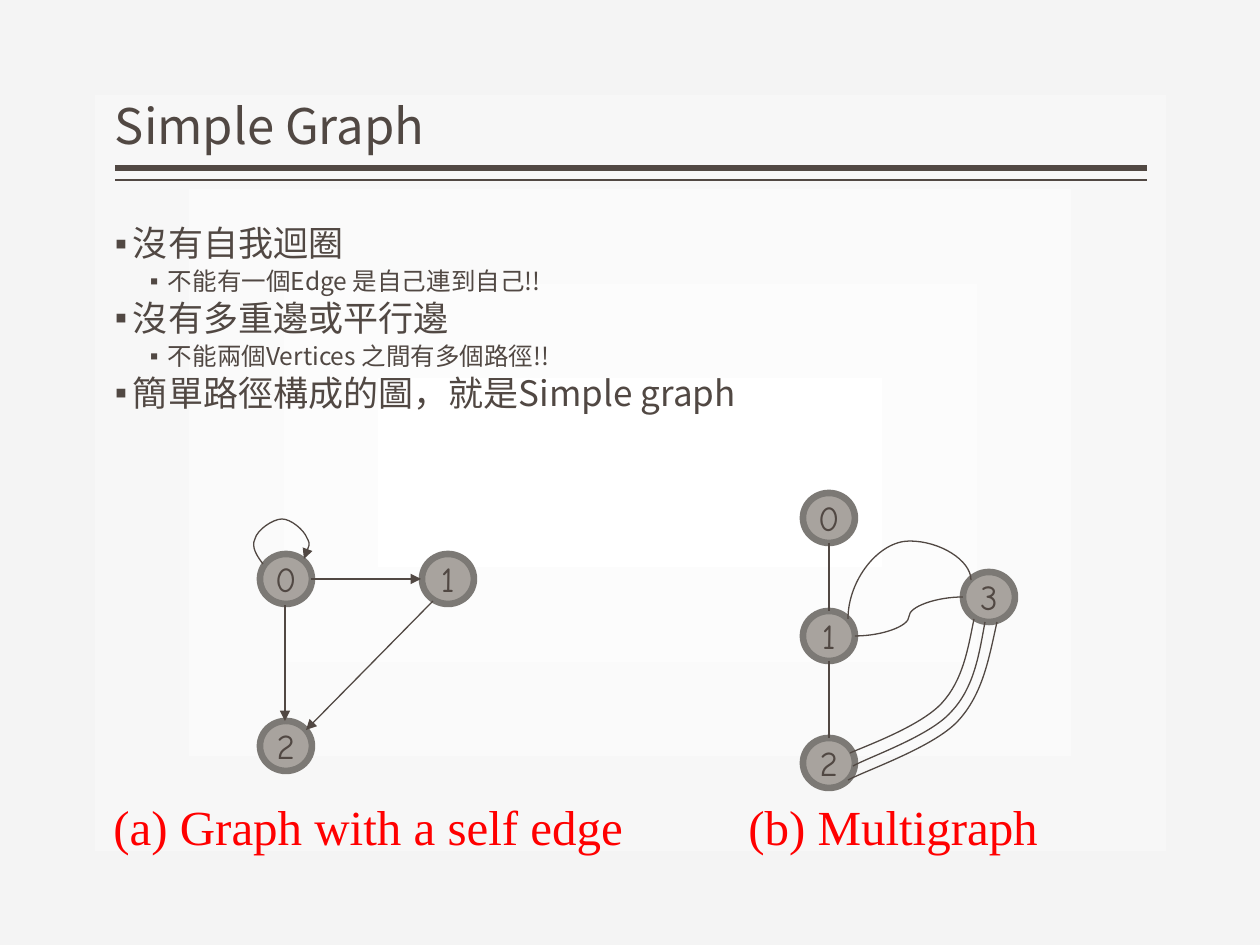
"""Build the Simple Graph slide with a self-edge graph and a multigraph."""
from typing import NamedTuple

from lxml import etree
from pptx import Presentation
from pptx import util as u
from pptx.dml.color import RGBColor
from pptx.enum import shapes, text
from pptx.oxml.ns import qn

SCALE = 914400 / 126
COLORS = {"ink": "514843", "node": "A8A39E", "ring": "7C7975",
          "caption": "FF0000", "center": "FFFFFF", "edge": "F4F4F4"}
SANS, HAND, SERIF = "Noto Sans CJK SC", "Comic Neue", "Times New Roman"
NODE_WIDTH, NODE_HEIGHT = 52, 50


class Node(NamedTuple):
    label: str
    left: int
    top: int


class Edge(NamedTuple):
    start: tuple[int, int]
    end: tuple[int, int]
    arrow: bool = False
    width: float = 0.75
    kind: shapes.MSO_CONNECTOR = shapes.MSO_CONNECTOR.STRAIGHT


class Curve(NamedTuple):
    points: list[tuple[int, int]]
    arrow: bool = False


class Caption(NamedTuple):
    words: str
    left: int
    width: int


class Bullet(NamedTuple):
    words: str
    level: int = 0


RULES = [Edge((1147, 168), (115, 168), width=3), Edge((1147, 180), (115, 180), width=1)]
BULLETS = [
    Bullet("沒有自我迴圈"),
    Bullet("不能有一個Edge 是自己連到自己!!", 1),
    Bullet("沒有多重邊或平行邊"),
    Bullet("不能兩個Vertices 之間有多個路徑!!", 1),
    Bullet("簡單路徑構成的圖，就是Simple graph"),
]
BULLET_STYLES = [(20, 18), (14, 53)]
NODES = [
    Node("0", 260, 554), Node("2", 260, 721), Node("1", 422, 554),
    Node("1", 803, 611), Node("2", 803, 738), Node("3", 963, 572), Node("0", 803, 493),
]
EDGES = [
    Edge((285, 605), (285, 721), True),
    Edge((311, 579), (421, 579), True),
    Edge((433, 601), (306, 730), True),
    Edge((829, 543), (829, 611)),
    Edge((829, 661), (829, 738)),
    Edge((963, 597), (855, 636), kind=shapes.MSO_CONNECTOR.CURVE),
]
ARCH = Edge((890, 538), (929, 661), kind=shapes.MSO_CONNECTOR.CURVE)
CURVES = [
    Curve([(263, 564), (257, 556), (251, 547), (255, 539), (257, 530), (273, 519), (282, 519),
           (291, 519), (304, 530), (307, 538), (311, 545), (305, 556), (304, 559)], True),
    Curve([(974, 619), (968, 649), (963, 680), (942, 703), (921, 726), (866, 746), (850, 753)]),
    Curve([(985, 622), (979, 655), (974, 688), (951, 712), (930, 736), (869, 757), (853, 766)]),
    Curve([(997, 622), (989, 658), (983, 694), (958, 721), (934, 747), (867, 770), (848, 780)]),
]
CAPTIONS = [Caption("(a) Graph with a self edge", 101, 556), Caption("(b) Multigraph", 736, 364)]


def px(length: int) -> u.Emu:
    return u.Emu(round(length * SCALE))


def color(name: str) -> RGBColor:
    return RGBColor.from_string(COLORS[name])


def style_runs(paragraph, size: int, font: str, shade: str = "ink") -> None:
    for run in paragraph.runs:
        run.font.size, run.font.name = u.Pt(size), font
        run.font.color.rgb = color(shade)
        latin = run._r.get_or_add_rPr().find(qn("a:latin"))
        east_asian = etree.Element(qn("a:ea"), typeface=font)
        latin.addnext(east_asian)


def style_line(shape, width: float, arrow: bool = False) -> None:
    shape.line.color.rgb = color("ink")
    shape.line.width = u.Pt(width)
    if arrow:
        etree.SubElement(shape.line._get_or_add_ln(), qn("a:tailEnd"), type="triangle")


def paint_background(slide) -> None:
    fill = slide.background.fill
    fill.gradient()
    for stop, name, position in zip(fill.gradient_stops, ("center", "edge"), (0, 1)):
        stop.color.rgb = color(name)
        stop.position = position
    linear = slide._element.find(".//" + qn("a:lin"))
    radial = etree.Element(qn("a:path"), path="rect")
    etree.SubElement(radial, qn("a:fillToRect"), l="5000", t="5000", r="5000", b="5000")
    linear.getparent().replace(linear, radial)


def place_frame(shape, left: int, top: int, width: int, height: int):
    shape.left, shape.top, shape.width, shape.height = map(px, (left, top, width, height))
    frame = shape.text_frame
    frame.margin_left = frame.margin_right = 0
    frame.auto_size = text.MSO_AUTO_SIZE.NONE
    return frame


def fill_title(slide) -> None:
    frame = place_frame(slide.shapes.title, 115, 10, 1032, 151)
    frame.text = "Simple Graph"
    frame.vertical_anchor = text.MSO_ANCHOR.BOTTOM
    paragraph = frame.paragraphs[0]
    paragraph.alignment = text.PP_ALIGN.LEFT
    paragraph.line_spacing = 0.9
    style_runs(paragraph, 28, SANS)


def fill_body(slide) -> None:
    frame = place_frame(slide.placeholders[1], 115, 220, 1032, 630)
    frame.text = "\n".join(bullet.words for bullet in BULLETS)
    for index, (paragraph, bullet) in enumerate(zip(frame.paragraphs, BULLETS)):
        size, margin = BULLET_STYLES[bullet.level]
        paragraph.level = bullet.level
        paragraph.line_spacing = 0.9
        paragraph.space_before = u.Pt(3 if index else 0)
        properties = paragraph._p.get_or_add_pPr()
        properties.set("marL", str(px(margin)))
        properties.set("indent", str(px(-18)))
        etree.SubElement(properties, qn("a:buChar"), char="▪")
        style_runs(paragraph, size, SANS)


def draw_node(slide, node: Node) -> None:
    shape = slide.shapes.add_shape(shapes.MSO_SHAPE.OVAL, px(node.left), px(node.top),
                                   px(NODE_WIDTH), px(NODE_HEIGHT))
    shape.shadow.inherit = False
    shape.fill.solid()
    shape.fill.fore_color.rgb = color("node")
    shape.line.color.rgb = color("ring")
    shape.line.width = u.Pt(3.78)
    frame = shape.text_frame
    frame.text = node.label
    frame.word_wrap = False
    frame.vertical_anchor = text.MSO_ANCHOR.MIDDLE
    frame.paragraphs[0].alignment = text.PP_ALIGN.CENTER
    style_runs(frame.paragraphs[0], 20, HAND)


def draw_edge(slide, edge: Edge):
    connector = slide.shapes.add_connector(edge.kind, *map(px, edge.start + edge.end))
    style_line(connector, edge.width, edge.arrow)
    etree.SubElement(connector._element.spPr, qn("a:effectLst"))
    return connector


def draw_arch(slide) -> None:
    properties = draw_edge(slide, ARCH)._element.spPr
    properties.find(qn("a:xfrm")).set("rot", str(270 * 60000))
    adjustments = properties.find(".//" + qn("a:avLst"))
    etree.SubElement(adjustments, qn("a:gd"), name="adj1", fmla="val 200000")


def draw_curve(slide, curve: Curve) -> None:
    points = [(px(x), px(y)) for x, y in curve.points]
    builder = slide.shapes.build_freeform(*points[0])
    builder.add_line_segments(points[1:], close=False)
    shape = builder.convert_to_shape()
    shape.shadow.inherit = False
    shape.fill.background()
    style_line(shape, 0.75, curve.arrow)
    outline = shape._element.find(".//" + qn("a:path"))
    for index, segment in enumerate(outline.findall(qn("a:lnTo"))):
        if index % 3 == 0:
            bezier = etree.SubElement(outline, qn("a:cubicBezTo"))
        bezier.append(segment[0])
        outline.remove(segment)


def draw_caption(slide, caption: Caption) -> None:
    box = slide.shapes.add_textbox(px(caption.left), px(790), px(caption.width), px(72))
    frame = box.text_frame
    frame.text = caption.words
    frame.word_wrap = True
    frame.auto_size = text.MSO_AUTO_SIZE.SHAPE_TO_FIT_TEXT
    style_runs(frame.paragraphs[0], 28, SERIF, "caption")


def main() -> None:
    presentation = Presentation()
    presentation.slide_width, presentation.slide_height = px(1260), px(945)
    slide = presentation.slides.add_slide(presentation.slide_layouts[1])
    paint_background(slide)
    fill_title(slide)
    fill_body(slide)
    for draw, items in ((draw_edge, RULES), (draw_node, NODES), (draw_edge, EDGES),
                        (draw_curve, CURVES), (draw_caption, CAPTIONS)):
        for item in items:
            draw(slide, item)
    draw_arch(slide)
    presentation.save("out.pptx")


if __name__ == "__main__":
    main()
